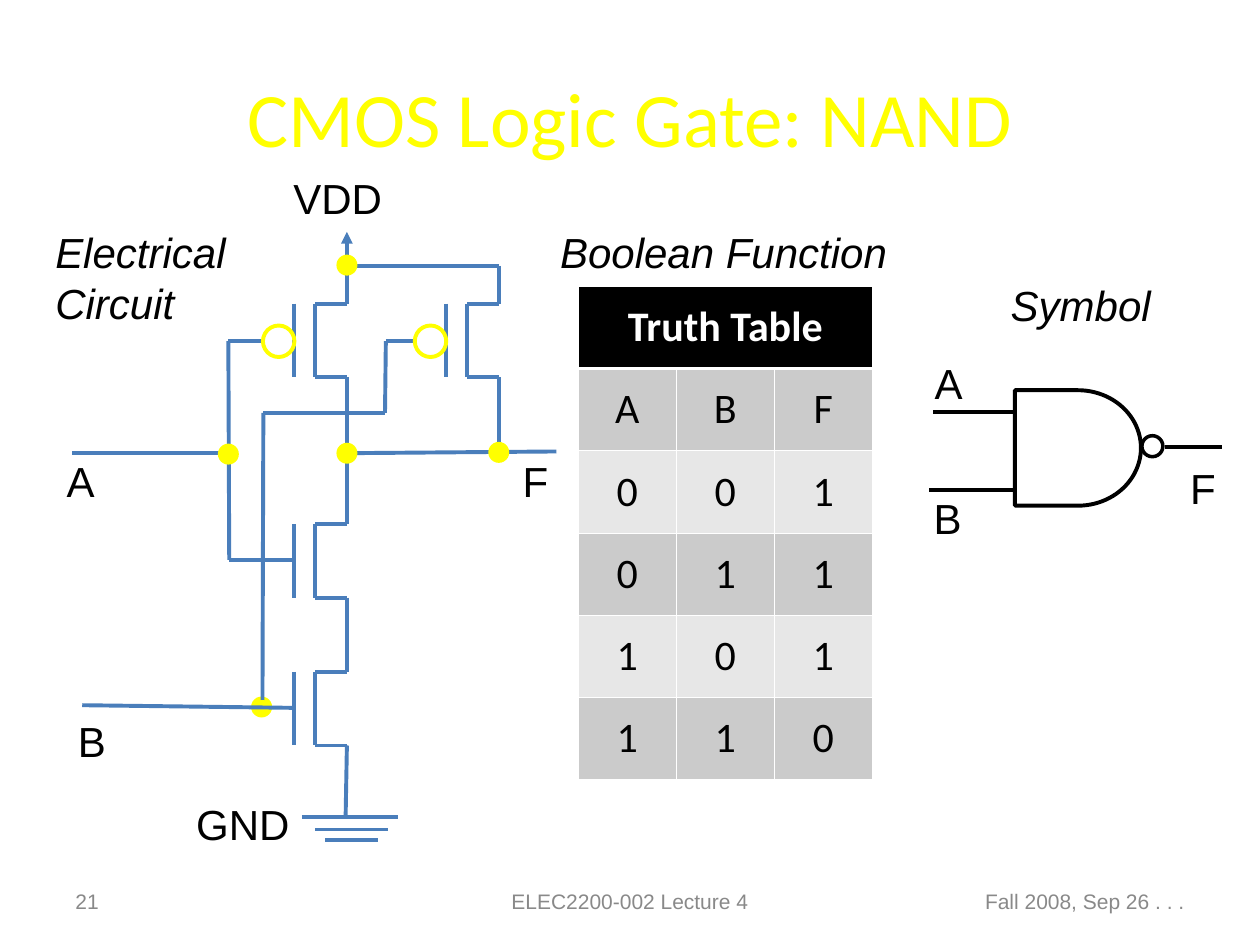
from typing import NamedTuple

from lxml import etree
from pptx import Presentation, util as u
from pptx.dml.color import RGBColor
from pptx.enum import shapes, text
from pptx.oxml import ns

Pt = u.Pt
COLORS = {
    "wire": "4A7EBB", "accent": "FFFF00", "ink": "000000", "paper": "FFFFFF",
    "footer": "898989", "dark_row": "CBCBCB", "light_row": "E7E7E7",
}
LEFT, CENTER, RIGHT = text.PP_ALIGN.LEFT, text.PP_ALIGN.CENTER, text.PP_ALIGN.RIGHT
STACK_X, SIDE_X = 198.25, 285      # main transistor column and the parallel one


class Label(NamedTuple):
    x: float
    y: float
    w: float
    h: float
    lines: tuple[str, ...]
    size: float = 24
    color: str = "ink"
    font: str = "Arial"
    italic: bool = False
    align: text.PP_ALIGN = LEFT
    middle: bool = False
    wrap: bool = False


class Transistor(NamedTuple):
    x: float          # drain and source terminals
    top: float
    bubble: bool


class Wire(NamedTuple):
    points: tuple[tuple[float, float], ...]
    color: str = "wire"
    arrow: bool = False


def rgb(name: str) -> RGBColor:
    return RGBColor.from_string(COLORS[name])


def add_run(p, content: str, size: float, color: str, font: str) -> object:
    r = p.add_run()
    r.text = content
    r.font.size, r.font.name = Pt(size), font
    r.font.color.rgb = rgb(color)
    return r


def draw_label(s, label: Label) -> None:
    sp = s.shapes.add_textbox(*map(Pt, label[:4]))
    tf = sp.text_frame
    tf.word_wrap = label.wrap
    if label.middle:
        tf.vertical_anchor = text.MSO_ANCHOR.MIDDLE
    else:
        tf.auto_size = text.MSO_AUTO_SIZE.SHAPE_TO_FIT_TEXT
    for i, line in enumerate(label.lines):
        p = tf.add_paragraph() if i else tf.paragraphs[0]
        p.alignment = label.align
        r = add_run(p, line, label.size, label.color, label.font)
        r.font.italic = label.italic


def draw_wire(s, wire: Wire) -> None:
    for start, end in zip(wire.points, wire.points[1:]):
        cx = s.shapes.add_connector(shapes.MSO_CONNECTOR.STRAIGHT, *map(Pt, start + end))
        cx.line.color.rgb = rgb(wire.color)
        cx.line.width = Pt(2.25)
        sp_pr = cx._element.spPr
        if wire.arrow:
            etree.SubElement(sp_pr.get_or_add_ln(), ns.qn("a:headEnd"), type="triangle")
        etree.SubElement(sp_pr, ns.qn("a:effectLst"))


def draw_shape(s, kind, x: float, y: float, w: float, h: float,
               line: str | None = None, fill: str | None = None, width: float = 2.25) -> None:
    sp = s.shapes.add_shape(kind, *map(Pt, (x, y, w, h)))
    sp.shadow.inherit = False
    if fill:
        sp.fill.solid()
        sp.fill.fore_color.rgb = rgb(fill)
    else:
        sp.fill.background()
    if line:
        sp.line.color.rgb = rgb(line)
        sp.line.width = Pt(width)
    else:
        sp.line.fill.background()


def draw_dot(s, x: float, y: float) -> None:
    draw_shape(s, shapes.MSO_SHAPE.OVAL, x - 6, y - 6, 12, 12, fill="accent")


def draw_transistor(s, t: Transistor) -> None:
    gate, channel, bottom = t.x - 30, t.x - 18, t.top + 42
    draw_wire(s, Wire(((gate, t.top), (gate, bottom))))
    draw_wire(s, Wire(((t.x, t.top), (channel, t.top), (channel, bottom), (t.x, bottom))))
    if t.bubble:
        draw_shape(s, shapes.MSO_SHAPE.OVAL, gate - 18, t.top + 12.5, 18, 18, line="accent")


def set_borders(cell, top: float, bottom: float) -> None:
    tc_pr = cell._tc.get_or_add_tcPr()
    for i, (side, width) in enumerate((("L", 0.45), ("R", 0.45), ("T", top), ("B", bottom))):
        ln = etree.Element(ns.qn(f"a:ln{side}"), w=str(int(Pt(width))))
        fill = etree.SubElement(ln, ns.qn("a:solidFill"))
        etree.SubElement(fill, ns.qn("a:srgbClr"), val=COLORS["paper"])
        tc_pr.insert(i, ln)


def draw_truth_table(s, x: float, y: float, col: float, row: float) -> None:
    rows = [("Truth Table", "", ""), ("A", "B", "F")]
    rows += [(str(a), str(b), str(1 - a * b)) for a in (0, 1) for b in (0, 1)]
    table = s.shapes.add_table(len(rows), 3, *map(Pt, (x, y, 3 * col, len(rows) * row))).table
    for column in table.columns:
        column.width = Pt(col)
    for i, values in enumerate(rows):
        table.rows[i].height = Pt(row)
        for j, value in enumerate(values):
            cell = table.cell(i, j)
            cell.fill.solid()
            cell.fill.fore_color.rgb = rgb("ink" if i == 0 else "dark_row" if i % 2 else "light_row")
            cell.vertical_anchor = text.MSO_ANCHOR.MIDDLE
            set_borders(cell, 1.5 if i == 1 else 0.45, 1.5 if i == 0 else 0.45)
            if value:
                p = cell.text_frame.paragraphs[0]
                p.alignment = CENTER
                r = add_run(p, value, 24, "ink" if i else "paper", "Calibri")
                r.font.bold = i == 0
    table.cell(0, 0).merge(table.cell(0, 2))


TRANSISTORS = [
    Transistor(STACK_X, 173.5, True), Transistor(SIDE_X, 173.5, True),
    Transistor(STACK_X, 299.5, False), Transistor(STACK_X, 384, False),
]
WIRES = [
    Wire(((STACK_X, 132.5), (STACK_X, 173.5)), arrow=True),            # supply
    Wire(((204, 152), (SIDE_X, 152), (SIDE_X, 173.5))),
    Wire(((STACK_X, 215.5), (STACK_X, 258), (STACK_X, 299.5))),        # output column
    Wire(((SIDE_X, 215.5), (SIDE_X, 257))),
    Wire(((197, 259), (318, 258))),
    Wire(((STACK_X, 341.5), (STACK_X, 384))),
    Wire(((STACK_X, 426), (197.5, 467))),
    Wire(((131, 259), (41, 259))),                                     # input A
    Wire(((150, 195), (130.5, 195), (131, 320), (167, 320))),
    Wire(((167, 404.5), (47, 403))),                                   # input B
    Wire(((150, 400), (150.5, 236), (220, 236), (220.5, 195), (237, 195))),
    *[Wire(((x - half, y), (x + half, y)))                             # ground
      for x, half, y in ((200, 27.5, 467), (201, 21, 474), (201, 15, 480))],
    Wire(((580, 235.5), (533, 235.5)), "ink"),                         # symbol leads
    Wire(((579, 280), (531, 280)), "ink"),
    Wire(((665.5, 255.5), (698.5, 255.5)), "ink"),
]
LABELS = [
    Label(36, 21.5, 648, 90, ("CMOS Logic Gate: NAND",), 44, "accent", "Calibri",
          align=CENTER, middle=True, wrap=True),
    Label(160.5, 95, 65, 36, ("VDD",)),
    Label(31, 257, 30, 36, ("A",)),
    Label(37.5, 405.5, 30, 36, ("B",)),
    Label(291.5, 257, 29, 36, ("F",)),
    Label(105, 453, 84, 36, ("GND",), wrap=True),
    Label(527, 201, 30, 36, ("A",)),
    Label(526.5, 278, 31, 36, ("B",), wrap=True),
    Label(673, 260.5, 29, 36, ("F",)),
    Label(24.5, 126, 120, 65, ("Electrical", "Circuit"), italic=True, wrap=True),
    Label(313, 126, 208, 36, ("Boolean Function",), italic=True, wrap=True),
    Label(570.5, 156, 102, 36, ("Symbol",), italic=True, wrap=True),
]
FOOTERS = [(36, 168, "21", LEFT), (246, 228, "ELEC2200-002 Lecture 4", CENTER),
           (516, 168, "Fall 2008, Sep 26 . . .", RIGHT)]


def main() -> None:
    prs = Presentation()
    prs.slide_width, prs.slide_height = Pt(720), Pt(540)
    s = prs.slides.add_slide(prs.slide_layouts[6])

    # Circuit: the input B dot lies under its wire, the others on top
    draw_dot(s, 149.5, 404)
    for wire in WIRES:
        draw_wire(s, wire)
    for transistor in TRANSISTORS:
        draw_transistor(s, transistor)
    for x, y in ((130.5, 259.5), (STACK_X, 259), (SIDE_X, 258.5), (STACK_X, 151.5)):
        draw_dot(s, x, y)

    # Truth table
    draw_truth_table(s, 330.5, 163.5, 56, 47)

    # Gate symbol
    draw_shape(s, shapes.MSO_SHAPE.FLOWCHART_DELAY, 580, 223, 72, 66, line="ink")
    draw_shape(s, shapes.MSO_SHAPE.OVAL, 652.5, 249, 12, 12, line="ink", width=2)

    # Title, labels and footer
    for label in LABELS:
        draw_label(s, label)
    for x, w, content, align in FOOTERS:
        draw_label(s, Label(x, 500.5, w, 29, (content,), 12, "footer",
                            align=align, middle=True, wrap=True))
    prs.save("out.pptx")


if __name__ == "__main__":
    main()
